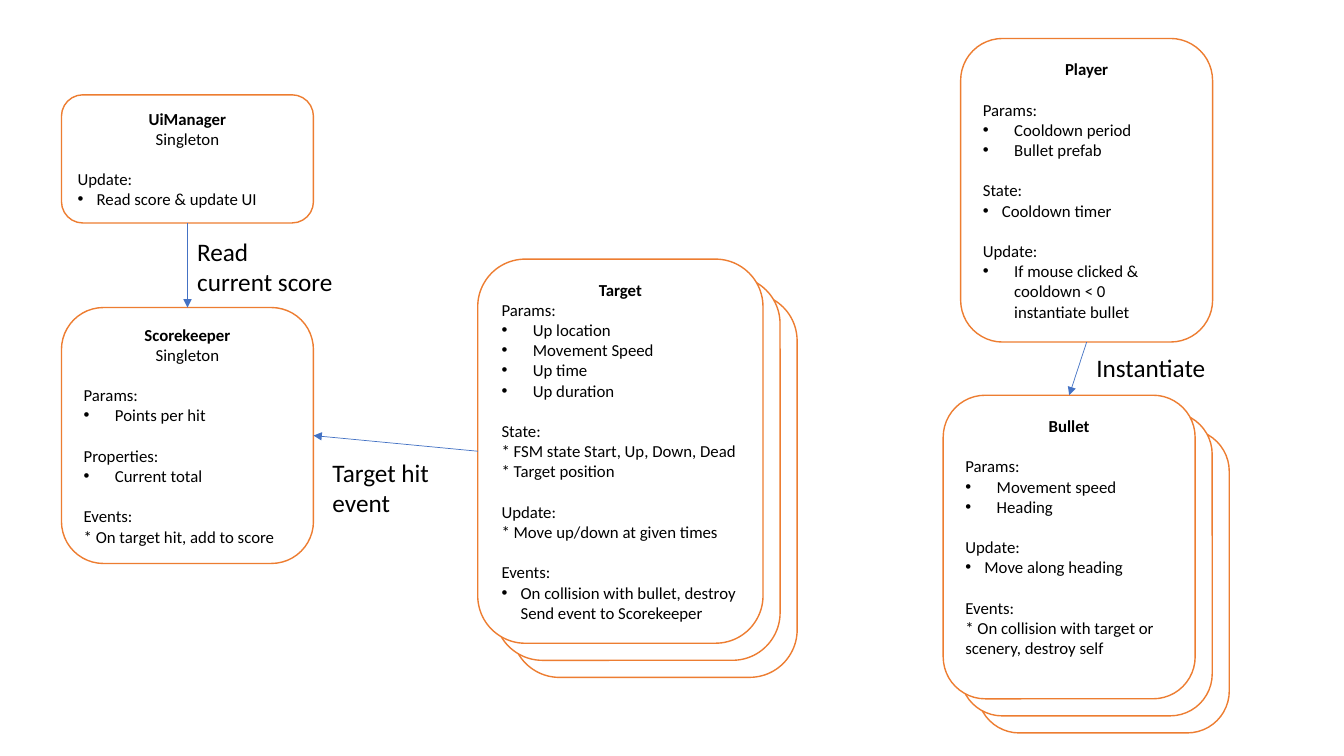
from copy import deepcopy
from dataclasses import dataclass

from lxml.etree import SubElement
from pptx import Presentation
from pptx.dml.color import RGBColor
from pptx.enum.shapes import MSO_CONNECTOR as Connector, MSO_SHAPE as Preset
from pptx.enum.text import MSO_ANCHOR as Anchor, MSO_AUTO_SIZE as AutoSize, PP_ALIGN as Align
from pptx.oxml.ns import qn
from pptx.util import Cm, Pt

FONT = "Calibri"
BLACK, WHITE, ORANGE, BLUE = "000000", "FFFFFF", "ED7D31", "4472C4"
WIDE, NARROW = 0.79, 0.48  # bullet indents, cm
SECTION_GAP = 14.5  # one empty 12 pt line, pt
STACK_STEP = 0.43  # offset between stacked cards, cm
TOP, LEFT, BOTTOM, RIGHT = range(4)  # connection sites of a card


@dataclass(frozen=True)
class Section:
    """A heading with its items; an indent above zero makes them bullets."""
    heading: str
    items: tuple[str, ...]
    indent: float = 0
    gap: float = SECTION_GAP


@dataclass(frozen=True)
class Card:
    """A class box; lengths in cm, depth counts the stacked sheets."""
    name: str
    left: float
    top: float
    width: float
    height: float
    sections: tuple[Section, ...]
    subtitle: str = ""
    depth: int = 1
    bottom_inset: float = 0.13


@dataclass(frozen=True)
class Arrow:
    """A link between two cards, given as name and connection site."""
    source: str
    source_site: int
    target: str
    target_site: int


@dataclass(frozen=True)
class Label:
    """A caption beside an arrow; lengths in cm."""
    text: str
    left: float
    top: float
    width: float
    height: float


CARDS = (
    Card("Target", 12.04, 6.53, 7.19, 9.68, depth=3, sections=(
        Section("Params:", ("Up location", "Movement Speed", "Up time", "Up duration"),
                WIDE, gap=0),
        Section("State:", ("* FSM state Start, Up, Down, Dead", "* Target position")),
        Section("Update:", ("* Move up/down at given times",)),
        Section("Events:", ("On collision with bullet, destroy\nSend event to Scorekeeper",),
                NARROW))),
    Card("Scorekeeper", 1.55, 7.75, 6.35, 6.45, subtitle="Singleton", sections=(
        Section("Params:", ("Points per hit",), WIDE),
        Section("Properties:", ("Current total",), WIDE),
        Section("Events:", ("* On target hit, add to score",)))),
    Card("UiManager", 1.55, 2.39, 6.35, 3.23, subtitle="Singleton", sections=(
        Section("Update:", ("Read score & update UI",), NARROW),)),
    Card("Player", 24.21, 0.97, 6.35, 7.65, sections=(
        Section("Params:", ("Cooldown period", "Bullet prefab"), WIDE),
        Section("State:", ("Cooldown timer",), NARROW),
        Section("Update:", ("If mouse clicked & cooldown < 0\ninstantiate bullet",), WIDE))),
    Card("Bullet", 23.77, 9.96, 6.35, 7.65, depth=3, bottom_inset=0.64, sections=(
        Section("Params:", ("Movement speed", "Heading"), WIDE),
        Section("Update:", ("Move along heading",), NARROW),
        Section("Events:", ("* On collision with target or scenery, destroy self",)))),
)
ARROWS = (
    Arrow("Player", BOTTOM, "Bullet", TOP),
    Arrow("UiManager", BOTTOM, "Scorekeeper", TOP),
    Arrow("Target", LEFT, "Scorekeeper", RIGHT),
)
LABELS = (
    Label("Instantiate", 27.38, 8.76, 3.28, 1.02),
    Label("Target hit\nevent", 8.13, 11.4, 2.97, 1.8),
    Label("Read\ncurrent score", 4.72, 5.82, 3.96, 1.75),
)


def rgb(value: str) -> RGBColor:
    """Turn a hex string into a colour."""
    return RGBColor.from_string(value)


def write(frame, text: str, *, size: float = 12, bold: bool = False,
          align=Align.LEFT, gap: float = 0, indent: float = 0) -> None:
    """Add one paragraph, using the empty first one if it is still free."""
    first = frame.paragraphs[0]
    para = frame.add_paragraph() if first.runs else first
    para.text = text
    para.alignment = align
    para.space_before = Pt(gap)
    for span in para.runs:
        span.font.name, span.font.size, span.font.bold = FONT, Pt(size), bold
        span.font.color.rgb = rgb(BLACK)
    for line_break in para._p.findall(qn("a:br")):
        line_break.append(deepcopy(para.runs[0]._r.rPr))
    if indent:
        props = para._p.get_or_add_pPr()
        props.set("marL", str(Cm(indent)))
        props.set("indent", str(-Cm(indent)))
        SubElement(props, qn("a:buFont"), typeface="Arial")
        SubElement(props, qn("a:buChar"), char="•")


def draw_sheet(shapes, card: Card, level: int):
    """Draw one rounded sheet, shifted by its level in the stack."""
    shift = level * STACK_STEP
    box = shapes.add_shape(Preset.ROUNDED_RECTANGLE, Cm(card.left + shift),
                           Cm(card.top + shift), Cm(card.width), Cm(card.height))
    box.shadow.inherit = False
    box.fill.solid()
    box.fill.fore_color.rgb = rgb(WHITE)
    box.line.color.rgb = rgb(ORANGE)
    box.line.width = Pt(1)
    return box


def draw_card(page, card: Card):
    """Draw a card, grouped when stacked, and return its front sheet."""
    shapes = page.shapes.add_group_shape().shapes if card.depth > 1 else page.shapes
    for level in reversed(range(card.depth)):
        box = draw_sheet(shapes, card, level)
    frame = box.text_frame
    frame.word_wrap = True
    frame.vertical_anchor = Anchor.MIDDLE
    frame.margin_bottom = Cm(card.bottom_inset)
    write(frame, card.name, bold=True, align=Align.CENTER)
    if card.subtitle:
        write(frame, card.subtitle, align=Align.CENTER)
    for section in card.sections:
        write(frame, section.heading, gap=section.gap)
        for item in section.items:
            write(frame, item, indent=section.indent)
    return box


def draw_arrow(page, arrow: Arrow, boxes: dict) -> None:
    """Connect two cards with a thin arrow."""
    line = page.shapes.add_connector(Connector.STRAIGHT, 0, 0, 0, 0)
    line.begin_connect(boxes[arrow.source], arrow.source_site)
    line.end_connect(boxes[arrow.target], arrow.target_site)
    line.line.color.rgb = rgb(BLUE)
    line.line.width = Pt(0.5)
    SubElement(line.line._get_or_add_ln(), qn("a:tailEnd"), type="triangle")
    SubElement(line._element.spPr, qn("a:effectLst"))


def draw_label(page, label: Label) -> None:
    """Write a caption in a text box that fits its text."""
    box = page.shapes.add_textbox(Cm(label.left), Cm(label.top),
                                  Cm(label.width), Cm(label.height))
    box.text_frame.word_wrap = False
    box.text_frame.auto_size = AutoSize.SHAPE_TO_FIT_TEXT
    write(box.text_frame, label.text, size=18)


def main() -> None:
    """Build the class diagram and save it."""
    deck = Presentation()
    deck.slide_width, deck.slide_height = Cm(33.87), Cm(19.05)
    page = deck.slides.add_slide(deck.slide_layouts[6])
    boxes = {card.name: draw_card(page, card) for card in CARDS}
    for arrow in ARROWS:
        draw_arrow(page, arrow, boxes)
    for label in LABELS:
        draw_label(page, label)
    deck.save("out.pptx")


main()
